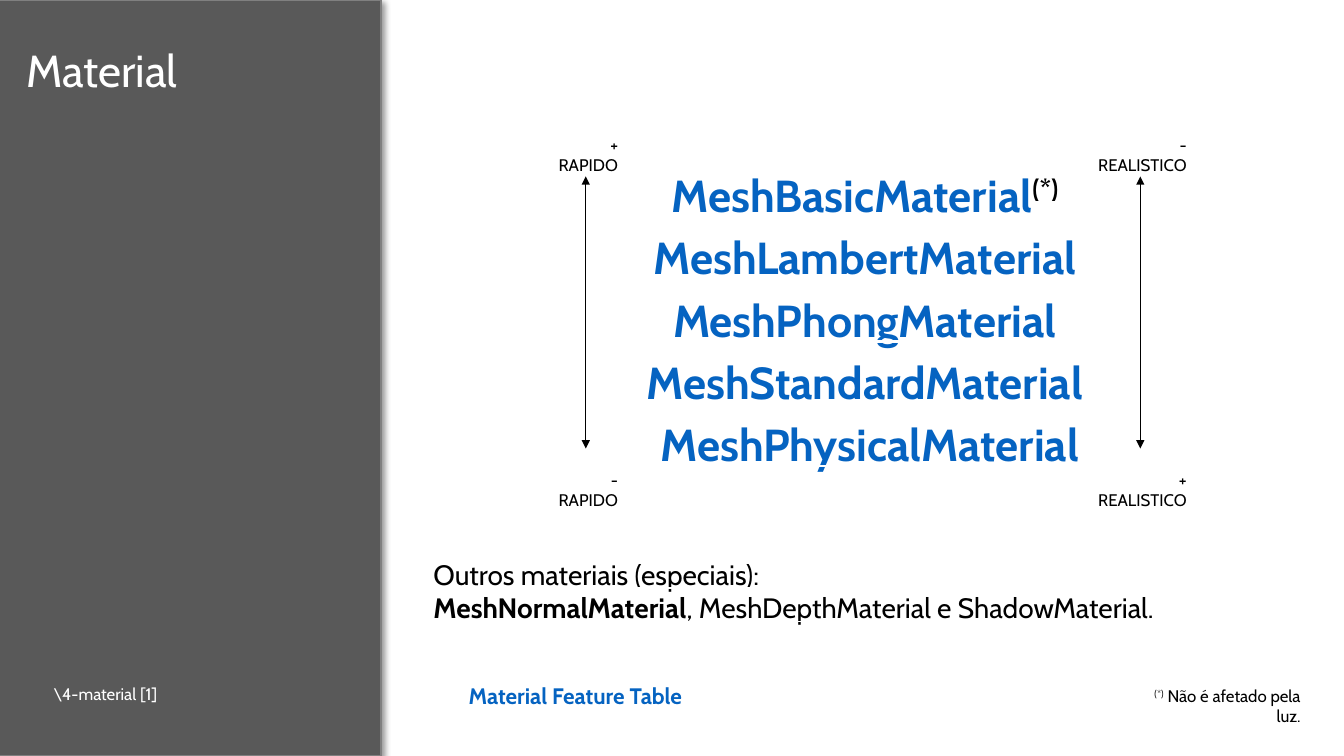
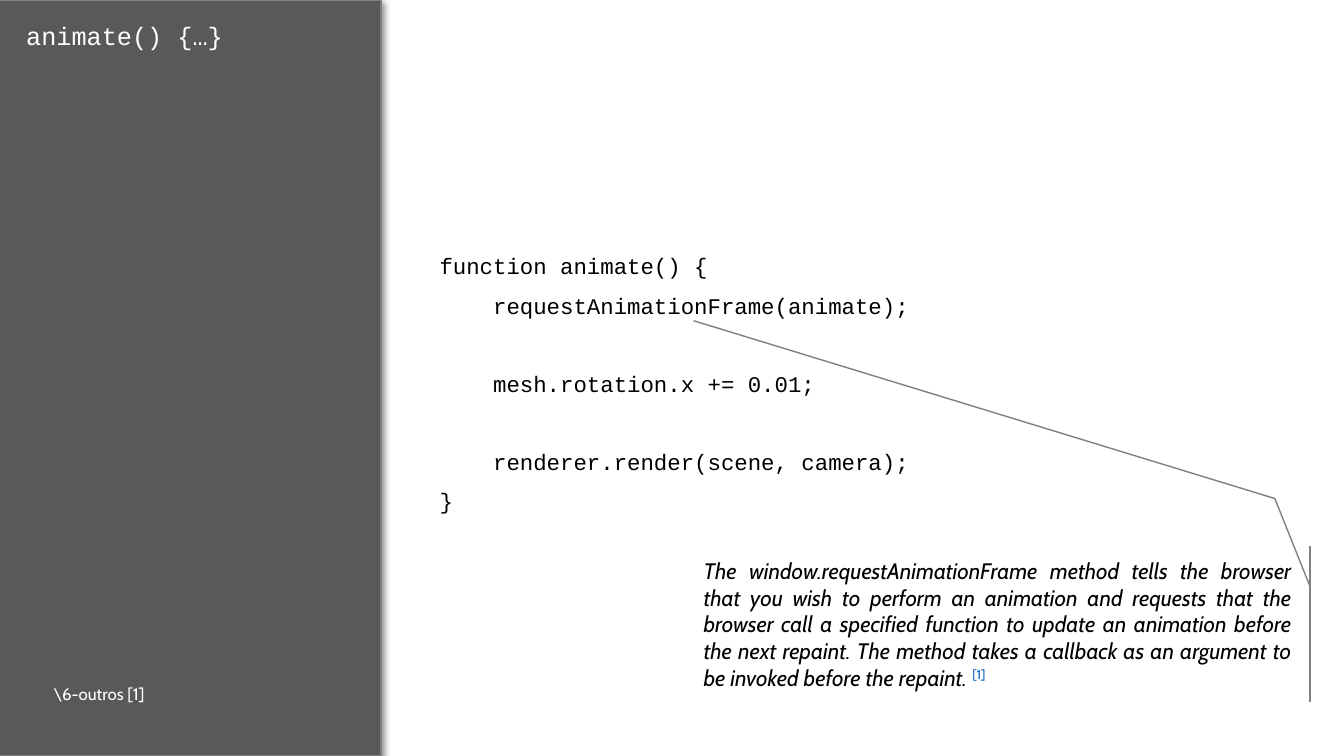
import pptx
import pptx.dml.color
import pptx.enum.shapes
import pptx.enum.text
import pptx.oxml
import pptx.oxml.ns
import pptx.util

WHITE, BLACK, BAND, RULE, LINK = "FFFFFF", "000000", "595959", "808080", "0563C1"
SANS, MONO = "Cabin", "Courier New"
WIDTH, HEIGHT = 13.33, 7.5
BAND_LEFT, BAND_WIDTH = -0.04, 3.82
BODY_LEFT, BODY_WIDTH = 4.36, 8.54
SIDES = pptx.enum.text.PP_ALIGN
SHAPES = pptx.enum.shapes.MSO_SHAPE

NORMAL = {}
RAISED = {"raised": True}
UNDER = {"underline": True}
BLUE = {"color": LINK, "bold": True, "underline": True}
STAR = {"bold": True, "underline": True, "raised": True}

MATERIALS = [
    [("MeshBasicMaterial", BLUE), ("(*)", STAR), (" ", BLUE)],
    [("MeshLambertMaterial ", BLUE)],
    [("MeshPhongMaterial ", BLUE)],
    [("MeshStandardMaterial ", BLUE)],
    [("MeshPhysicalMaterial", BLUE)],
]
SCALES = [("RAPIDO", 5.81, 0.64, "+", "-"), ("REALISTICO", 11.31, 0.92, "-", "+")]
ARROW_TOP, ARROW_BOTTOM = 1.75, 4.45
SPECIALS = [
    [("Outros materiais (especiais):", UNDER)],
    [("MeshNormalMaterial", {"bold": True, "underline": True}),
     (", MeshDepthMaterial e ShadowMaterial.", UNDER)],
]
FOOTNOTE = [[("(*)", RAISED), (" Não é afetado pela luz.", NORMAL)]]
CODE = [
    ("function animate() {", 0),
    ("    requestAnimationFrame(animate);", 11),
    ("    mesh.rotation.x += 0.01;", 38.3),
    ("    renderer.render(scene, camera);", 38.3),
    ("}", 11),
]
QUOTE = [[
    ("The window.requestAnimationFrame method tells the browser that you wish to perform "
     "an animation and requests that the browser call a specified function to update an "
     "animation before the next repaint. The method takes a callback as an argument to be "
     "invoked before the repaint. ", {"italic": True}),
    ("[1]", {"color": LINK, "underline": True, "raised": True}),
]]
CALLOUT_BENDS = [0.26, 1.014, -0.308, 0.956, -1.453, 0]


def inches(*lengths):
    return [pptx.util.Inches(length) for length in lengths]


def rgb(color):
    return pptx.dml.color.RGBColor.from_string(color)


def element(markup):
    space = pptx.oxml.ns.nsdecls("a")
    name, rest = markup.split(">", 1)
    if name.endswith("/"):
        return pptx.oxml.parse_xml(f"{name[:-1]} {space}/>")
    return pptx.oxml.parse_xml(f"{name} {space}>{rest}")


def add_span(para, text, size, font, color, bold=False, italic=False,
             underline=False, raised=False):
    span = para.add_run()
    span.text = text
    span.font.size = pptx.util.Pt(size)
    span.font.bold = bold
    span.font.italic = italic
    span.font.color.rgb = rgb(color)
    properties = span._r.get_or_add_rPr()
    if underline:
        span.font.underline = True
        properties.append(element(
            f'<a:uFill><a:solidFill><a:srgbClr val="{WHITE}"/></a:solidFill></a:uFill>'))
    if raised:
        properties.set("baseline", "30000")
    span.font.name = font


def write(box, paras, size, font=SANS, color=BLACK, align=SIDES.LEFT, middle=False,
          inset=(0.1, 0.1), leading=None, gaps=None):
    frame = box.text_frame
    frame.word_wrap = True
    anchors = pptx.enum.text.MSO_ANCHOR
    frame.vertical_anchor = anchors.MIDDLE if middle else anchors.TOP
    frame.margin_left, frame.margin_right = inches(*inset)
    frame.margin_top, frame.margin_bottom = inches(0.05, 0.05)
    for index, runs in enumerate(paras):
        para = frame.add_paragraph() if index else frame.paragraphs[0]
        para.alignment = align
        if leading:
            para.line_spacing = leading
        if gaps and gaps[index]:
            para.space_before = pptx.util.Pt(gaps[index])
        for text, style in runs:
            add_span(para, text, size, font, **{"color": color, **style})


def add_text(page, place, paras, size, **options):
    write(page.shapes.add_textbox(*inches(*place)), paras, size, **options)


def paint(shape, fill):
    shape.shadow.inherit = False
    shape.fill.solid()
    shape.fill.fore_color.rgb = rgb(fill)
    shape.line.color.rgb = rgb(RULE)
    shape.line.width = pptx.util.Pt(1)


def add_page(deck, title, title_size, title_font, title_height, folder):
    page = deck.slides.add_slide(deck.slide_layouts[6])
    band = page.shapes.add_shape(SHAPES.RECTANGLE, *inches(BAND_LEFT, 0, BAND_WIDTH, HEIGHT))
    paint(band, BAND)
    effects = band._element.spPr.find(pptx.oxml.ns.qn("a:effectLst"))
    effects.append(element(
        '<a:outerShdw blurRad="50800" dist="38100" dir="2700000" algn="tl" rotWithShape="0">'
        f'<a:srgbClr val="{BLACK}"><a:alpha val="40000"/></a:srgbClr></a:outerShdw>'))
    add_text(page, (BAND_LEFT, 0, BAND_WIDTH, title_height), [[(title, NORMAL)]], title_size,
             font=title_font, color=WHITE, middle=True, inset=(0.3, 0.2), leading=0.9)
    add_text(page, (0.43, 6.73, 3.09, 0.3), [[(folder, NORMAL)]], 12, color=WHITE)
    return page


def add_scale(page, label, center, width, top_sign, bottom_sign):
    for sign, top in ((top_sign, 1.29), (bottom_sign, 4.61)):
        add_text(page, (center - width / 2, top, width, 0.5), [[(f"{sign} {label}", UNDER)]],
                 12, align=SIDES.RIGHT, inset=(0, 0))
    arrow = page.shapes.add_connector(pptx.enum.shapes.MSO_CONNECTOR.STRAIGHT,
                                      *inches(center, ARROW_TOP, center, ARROW_BOTTOM))
    arrow.line.color.rgb = rgb(BLACK)
    arrow.line.width = pptx.util.Pt(0.5)
    for end in ("headEnd", "tailEnd"):
        arrow.line._get_or_add_ln().append(element(f'<a:{end} type="triangle"/>'))
    arrow._element.spPr.append(element("<a:effectLst/>"))


def build_materials(deck):
    page = add_page(deck, "Material", 32, SANS, 1.45, "\\4-material [1]")
    add_text(page, (BODY_LEFT, 1.7, BODY_WIDTH, 3), MATERIALS, 32, align=SIDES.CENTER,
             middle=True, inset=(0, 0), leading=0.9, gaps=[0, 10, 10, 10, 10])
    for scale in SCALES:
        add_scale(page, *scale)
    add_text(page, (11.29, 6.75, 1.61, 0.5), FOOTNOTE, 12, align=SIDES.RIGHT, inset=(0, 0))
    add_text(page, (4.55, 6.72, 2.53, 0.37), [[("Material Feature Table", BLUE)]], 16)
    add_text(page, (4.2, 5.48, WIDTH - 4.2, 0.77), SPECIALS, 20)


def build_animation(deck):
    page = add_page(deck, "animate() {…}", 18, MONO, 0.74, "\\6-outros [1]")
    add_text(page, (BODY_LEFT, 0.47, BODY_WIDTH, 6.7), [[(line, NORMAL)] for line, gap in CODE],
             16, font=MONO, middle=True, inset=(0, 0), leading=0.9,
             gaps=[gap for line, gap in CODE])
    callout = page.shapes.add_shape(SHAPES.LINE_CALLOUT_2_ACCENT_BAR,
                                    *inches(6.88, 5.42, 6.03, 1.54))
    for index, bend in enumerate(CALLOUT_BENDS):
        callout.adjustments[index] = bend
    paint(callout, WHITE)
    write(callout, QUOTE, 16, align=SIDES.JUSTIFY, middle=True)


def main():
    deck = pptx.Presentation()
    deck.slide_width, deck.slide_height = inches(WIDTH, HEIGHT)
    build_materials(deck)
    build_animation(deck)
    deck.save("out.pptx")


if __name__ == "__main__":
    main()
